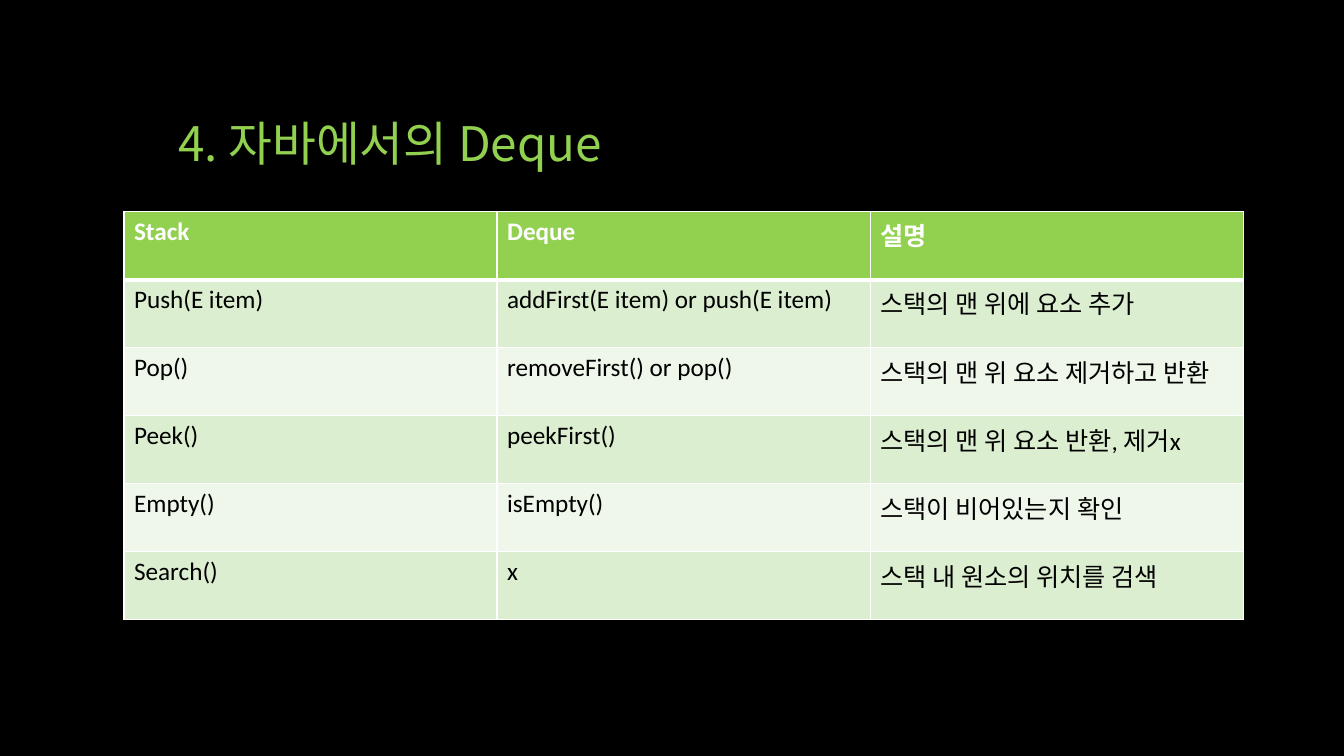
from lxml.etree import SubElement
from pptx import Presentation
from pptx.dml.color import RGBColor
from pptx.enum.text import MSO_ANCHOR as Anchor, PP_ALIGN as Align
from pptx.oxml.ns import qn
from pptx.util import Inches, Pt

GREEN, WHITE, BLACK = "92D050", "FFFFFF", "000000"
BANDS = ["DCEED0", "EEF7E9"]
KOREAN = "Noto Sans CJK KR"


def style(paragraph, latin, size, color, bold=False):
    font = paragraph.font
    font.name, font.size, font.bold = latin, Pt(size), bold
    font.color.rgb = RGBColor.from_string(color)
    defaults = paragraph._p.pPr.find(qn("a:defRPr"))
    SubElement(defaults, qn("a:ea"), typeface=KOREAN)


def add_border(cell, side, points):
    line = SubElement(cell._tc.get_or_add_tcPr(), qn(f"a:ln{side}"), w=str(Pt(points)))
    fill = SubElement(line, qn("a:solidFill"))
    SubElement(fill, qn("a:srgbClr"), val=WHITE)


prs = Presentation()
prs.slide_width, prs.slide_height = Inches(13.33), Inches(7.5)
slide = prs.slides.add_slide(prs.slide_layouts[5])

# Black background
backdrop = slide.background.fill
backdrop.solid()
backdrop.fore_color.rgb = RGBColor.from_string(BLACK)

# Title
title = slide.shapes.title
title.left, title.top = Inches(1.67), Inches(0.5)
title.width, title.height = Inches(10), Inches(1.25)
title.text_frame.text = "4. 자바에서의 Deque"
title.text_frame.vertical_anchor = Anchor.BOTTOM
heading = title.text_frame.paragraphs[0]
heading.alignment = Align.LEFT
heading.line_spacing = 0.9
style(heading, KOREAN, 34, GREEN)

# Stack and Deque methods side by side
methods = [
    ("Stack", "Deque", "설명"),
    ("Push(E item)", "addFirst(E item) or push(E item)", "스택의 맨 위에 요소 추가"),
    ("Pop()", "removeFirst() or pop()", "스택의 맨 위 요소 제거하고 반환"),
    ("Peek()", "peekFirst()", "스택의 맨 위 요소 반환, 제거x"),
    ("Empty()", "isEmpty()", "스택이 비어있는지 확인"),
    ("Search()", "x", "스택 내 원소의 위치를 검색"),
]
comparison = slide.shapes.add_table(
    len(methods), 3, Inches(1.23), Inches(2.1), Inches(11.1), Inches(4.05)
).table

for row, entries in enumerate(methods):
    is_header = row == 0
    for column, entry in enumerate(entries):
        cell = comparison.cell(row, column)
        cell.text = entry
        style(cell.text_frame.paragraphs[0], "Calibri", 18,
              WHITE if is_header else BLACK, is_header)

        # Thin white grid with a thick rule under the header
        for side in "LRTB":
            under_header = (row, side) in [(0, "B"), (1, "T")]
            add_border(cell, side, 3 if under_header else 1)

        cell.fill.solid()
        cell.fill.fore_color.rgb = RGBColor.from_string(
            GREEN if is_header else BANDS[(row - 1) % 2])

prs.save("out.pptx")
